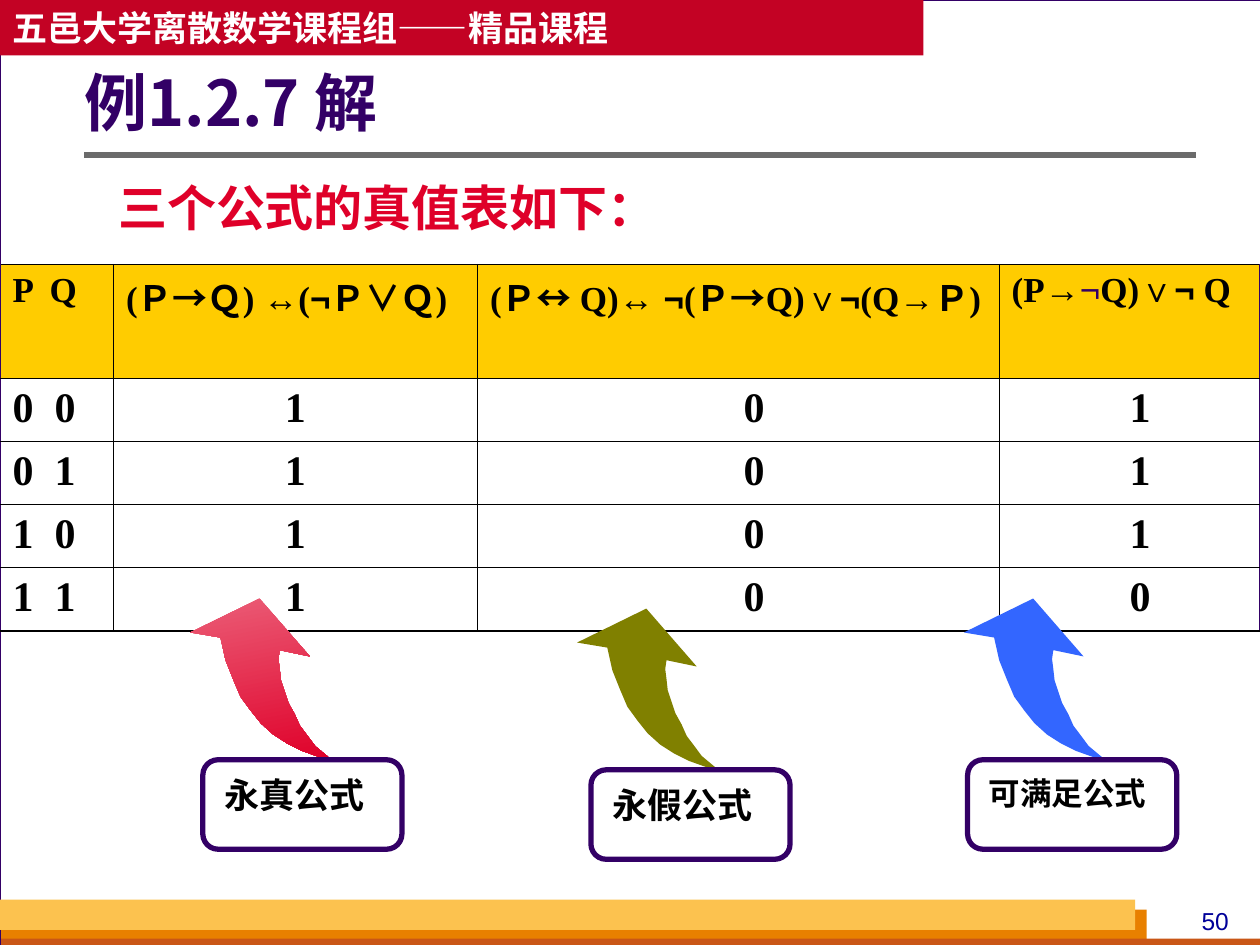
from lxml import etree
from pptx import Presentation
from pptx import util as u
from pptx.dml.color import RGBColor
from pptx.enum import shapes, text
from pptx.oxml import ns

Inches, Pt = u.Inches, u.Pt
SANS, SERIF, CJK = "Arial", "Times New Roman", "Noto Sans CJK SC"
COLORS = {
    "background": "D8DADA", "white": "FFFFFF", "black": "000000",
    "purple": "330066", "banner": "C30224", "orange": "E88000",
    "rust": "C95616", "gold": "FCC24F", "gray": "6B6B6B", "navy": "000099",
    "header": "FFCC00", "red": "DF0029", "pink": "EB5D77",
    "olive": "808000", "blue": "3366FF",
}
ARROW = [
    (118, 129), (103, 126), (89, 121), (77, 115), (66, 108), (56, 99),
    (48, 89), (40, 78), (34, 64), (28, 49), (24, 31), (0, 27), (55, 0),
    (95, 46), (71, 41), (70, 48), (71, 56), (72, 65), (75, 74), (78, 83),
    (83, 92), (87, 101), (93, 109), (99, 117), (105, 122), (111, 127),
]
HEADERS = [
    [("P  Q", SERIF)],
    [("(Ｐ→Ｑ) ", SERIF), ("↔", SANS), ("(", SERIF), ("¬", SANS), ("Ｐ∨Ｑ)", SERIF)],
    [("(Ｐ", SERIF), ("↔ ", SANS), ("Q)", SERIF), ("↔ ¬", SANS),
     ("(Ｐ→Q)∨", SERIF), ("¬", SANS), ("(Q→Ｐ)", SERIF)],
    [("(P→", SERIF), ("¬", SANS, "purple", False), ("Q)∨", SERIF),
     ("¬", SANS), (" Q", SERIF)],
]
VALUES = [
    ("0  0", "1", "0", "1"),
    ("0  1", "1", "0", "1"),
    ("1  0", "1", "0", "1"),
    ("1  1", "1", "0", "0"),
]


def rgb(name):
    return RGBColor.from_string(COLORS[name])


def fill(obj, name):
    obj.fill.solid()
    obj.fill.fore_color.rgb = rgb(name)


def add_run(p, txt, size, font, color="black", bold=True):
    r = p.add_run()
    r.text = txt
    r.font.size = Pt(size)
    r.font.name = font
    r.font.bold = bold
    r.font.color.rgb = rgb(color)
    ea = etree.SubElement(r.font._element, ns.qn("a:ea"))
    ea.set("typeface", CJK)


def add_box(parent, kind, at, color=None, line=None, width=0.75):
    sp = parent.shapes.add_shape(kind, *map(Inches, at))
    sp.shadow.inherit = False
    if color:
        fill(sp, color)
    else:
        sp.fill.background()
    if line:
        sp.line.color.rgb = rgb(line)
        sp.line.width = Pt(width)
    else:
        sp.line.fill.background()
    return sp


def add_text(parent, at, txt, size, font, color="black", bold=True, wrap=True):
    tf = parent.shapes.add_textbox(*map(Inches, at)).text_frame
    tf.word_wrap = wrap
    tf.auto_size = text.MSO_AUTO_SIZE.SHAPE_TO_FIT_TEXT
    p = tf.paragraphs[0]
    add_run(p, txt, size, font, color, bold)
    return p


def add_frame(s):
    rect = shapes.MSO_SHAPE.RECTANGLE
    add_box(s, rect, (0, 0, 10.01, 7.5), "white", "purple")
    banner = add_box(s, rect, (0, 0, 7.33, 0.44), "banner")
    tf = banner.text_frame
    tf.vertical_anchor = text.MSO_ANCHOR.MIDDLE
    p = tf.paragraphs[0]
    p.alignment = text.PP_ALIGN.LEFT
    add_run(p, "五邑大学离散数学课程组——精品课程", 20, CJK, "white")
    add_box(s, rect, (0.01, 7.22, 9.09, 0.28), "orange")
    add_box(s, rect, (0.01, 7.45, 10, 0.08), "rust")
    add_box(s, rect, (0, 7.14, 9.01, 0.24), "gold")
    number = add_text(s, (9.33, 7.14, 0.63, 0.34), "50", 14, SANS, "navy", False)
    number.alignment = text.PP_ALIGN.CENTER
    rule = s.shapes.add_connector(
        shapes.MSO_CONNECTOR.STRAIGHT,
        Inches(0.67), Inches(1.23), Inches(9.49), Inches(1.23))
    rule.line.color.rgb = rgb("gray")
    rule.line.width = Pt(3)
    etree.SubElement(rule._element.spPr, ns.qn("a:effectLst"))


def add_title(s, txt):
    sp = s.shapes.title
    sp.element.getparent().append(sp.element)
    sp.left, sp.top, sp.width, sp.height = map(Inches, (0.67, 0.46, 8.82, 0.77))
    tf = sp.text_frame
    tf.margin_left = 0
    tf.vertical_anchor = text.MSO_ANCHOR.MIDDLE
    p = tf.paragraphs[0]
    p.alignment = text.PP_ALIGN.LEFT
    p.line_spacing = 0.9
    add_run(p, txt, 36, CJK, "purple")


def set_borders(cell, outer):
    tcPr = cell._tc.get_or_add_tcPr()
    for i, side in enumerate("LRTB"):
        color = "purple" if side in outer and side in "LR" else "black"
        ln = etree.Element(ns.qn(f"a:ln{side}"))
        ln.set("w", str(Pt(1.08 if side in outer else 0.45)))
        solid = etree.SubElement(ln, ns.qn("a:solidFill"))
        etree.SubElement(solid, ns.qn("a:srgbClr")).set("val", COLORS[color])
        tcPr.insert(i, ln)


def add_truth_table(s):
    widths = (0.9, 2.89, 4.14, 2.07)
    heights = (0.9,) + (0.5,) * len(VALUES)
    indents = (0.1, 0.1, 0.35, 0.27)
    rows, cols = len(heights), len(widths)
    table = s.shapes.add_table(
        rows, cols, 0, Inches(2.1), Inches(10), Inches(2.9)).table
    for col, width in zip(table.columns, widths):
        col.width = Inches(width)
    for row, height in zip(table.rows, heights):
        row.height = Inches(height)
    for i in range(rows):
        for j in range(cols):
            cell = table.cell(i, j)
            fill(cell, "white" if i else "header")
            p = cell.text_frame.paragraphs[0]
            if i:
                add_run(p, VALUES[i - 1][j], 24, SERIF)
                cell.margin_left = Inches(indents[j])
                if j:
                    p.alignment = text.PP_ALIGN.CENTER
            else:
                for txt, *style in HEADERS[j]:
                    add_run(p, txt, 20, *style)
            edges = {"L": j == 0, "R": j == cols - 1, "T": i == 0, "B": i == rows - 1}
            set_borders(cell, [side for side, on in edges.items() if on])


def add_callout(s, arrow_x, box_x, y, width, txt, size, color, light=None):
    group = s.shapes.add_group_shape()
    points = [(arrow_x * 100 + x, y * 100 + dy) for x, dy in ARROW]
    builder = group.shapes.build_freeform(*points[0], scale=Inches(0.01))
    builder.add_line_segments(points[1:], close=True)
    arrow = builder.convert_to_shape()
    arrow.shadow.inherit = False
    arrow.line.fill.background()
    if light:
        arrow.fill.gradient()
        arrow.fill.gradient_angle = 281
        for stop, name, pos in zip(arrow.fill.gradient_stops, (light, color), (0, 1)):
            stop.color.rgb = rgb(name)
            stop.position = pos
    else:
        fill(arrow, color)
    box = add_box(group, shapes.MSO_SHAPE.ROUNDED_RECTANGLE,
                  (box_x, y + 1.28, width, 0.71), None, "purple", 3)
    box.adjustments[0] = 0.17
    add_text(group, (box_x + 0.07, y + 1.34, width - 0.18, 0.44), txt, size, SANS)


def main():
    prs = Presentation()
    prs.slide_width, prs.slide_height = Inches(10), Inches(7.5)
    s = prs.slides.add_slide(prs.slide_layouts[5])
    fill(s.background, "background")
    add_frame(s)
    add_title(s, "例1.2.7 解")
    add_truth_table(s)
    add_callout(s, 1.51, 1.61, 4.75, 1.58, "永真公式", 20, "red", "pink")
    add_callout(s, 4.58, 4.69, 4.83, 1.58, "永假公式", 20, "olive")
    add_callout(s, 7.65, 7.68, 4.75, 1.66, "可满足公式", 18, "blue")
    add_text(s, (0.84, 1.36, 4.47, 0.57), "三个公式的真值表如下：", 28, CJK, "red", wrap=False)
    prs.save("out.pptx")


if __name__ == "__main__":
    main()
